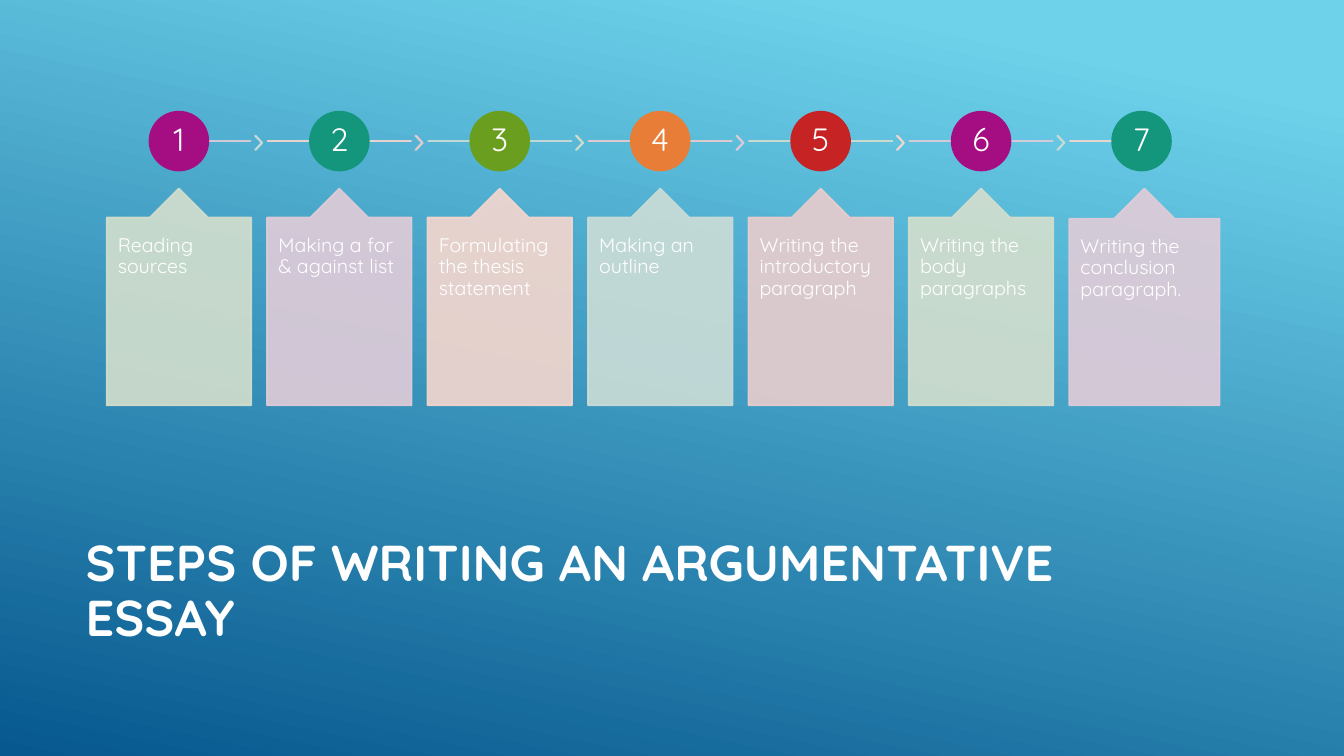
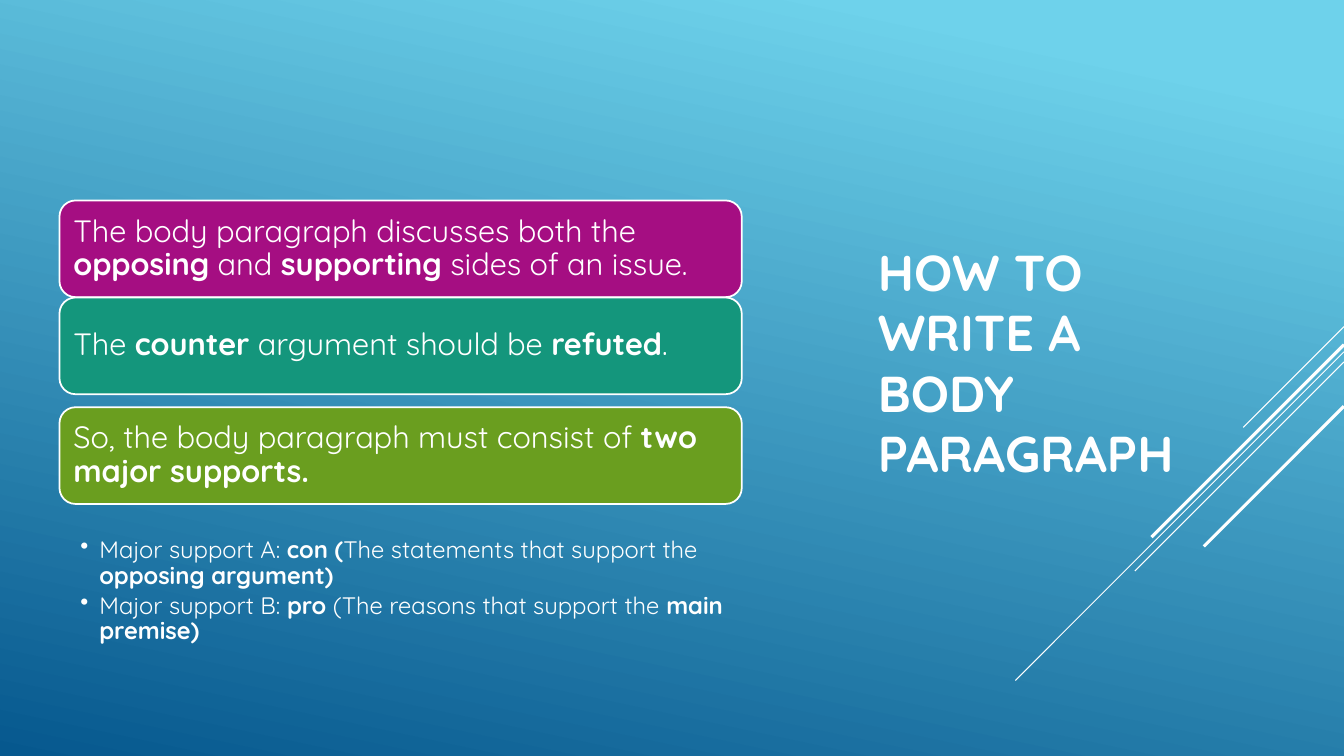
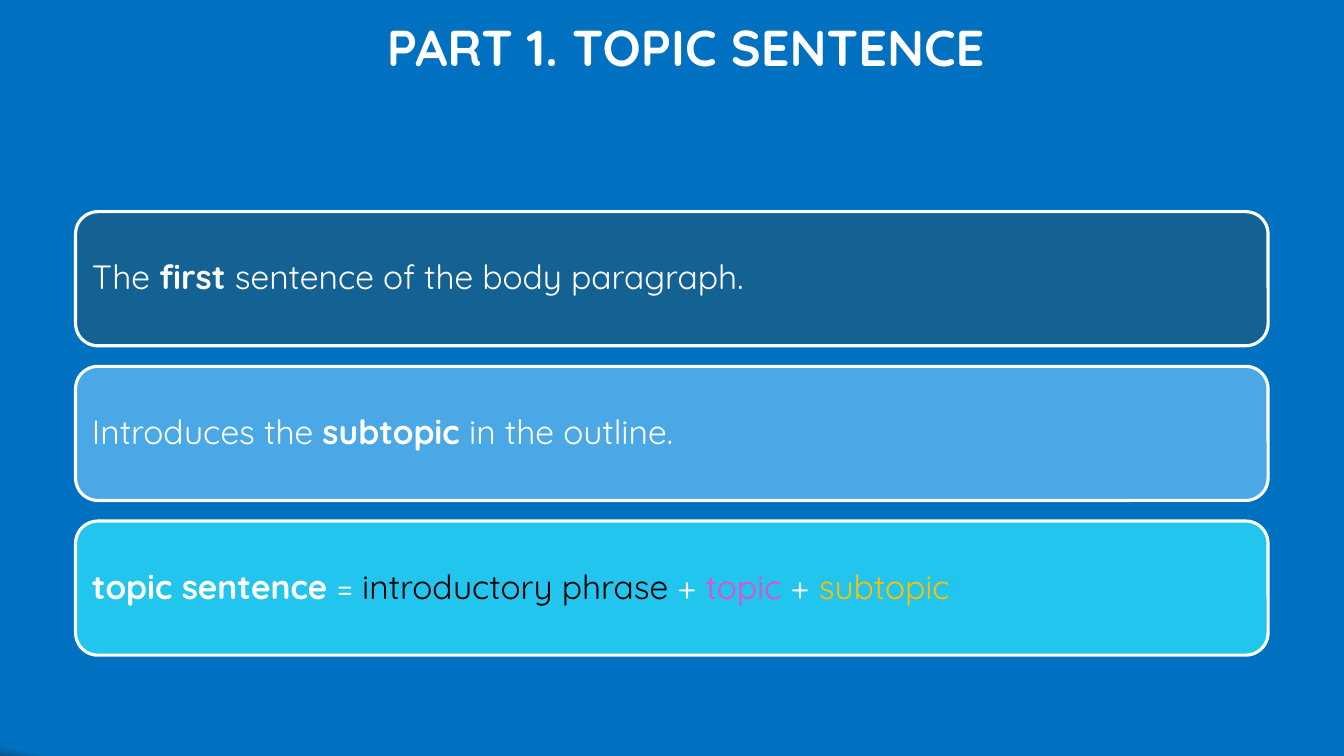
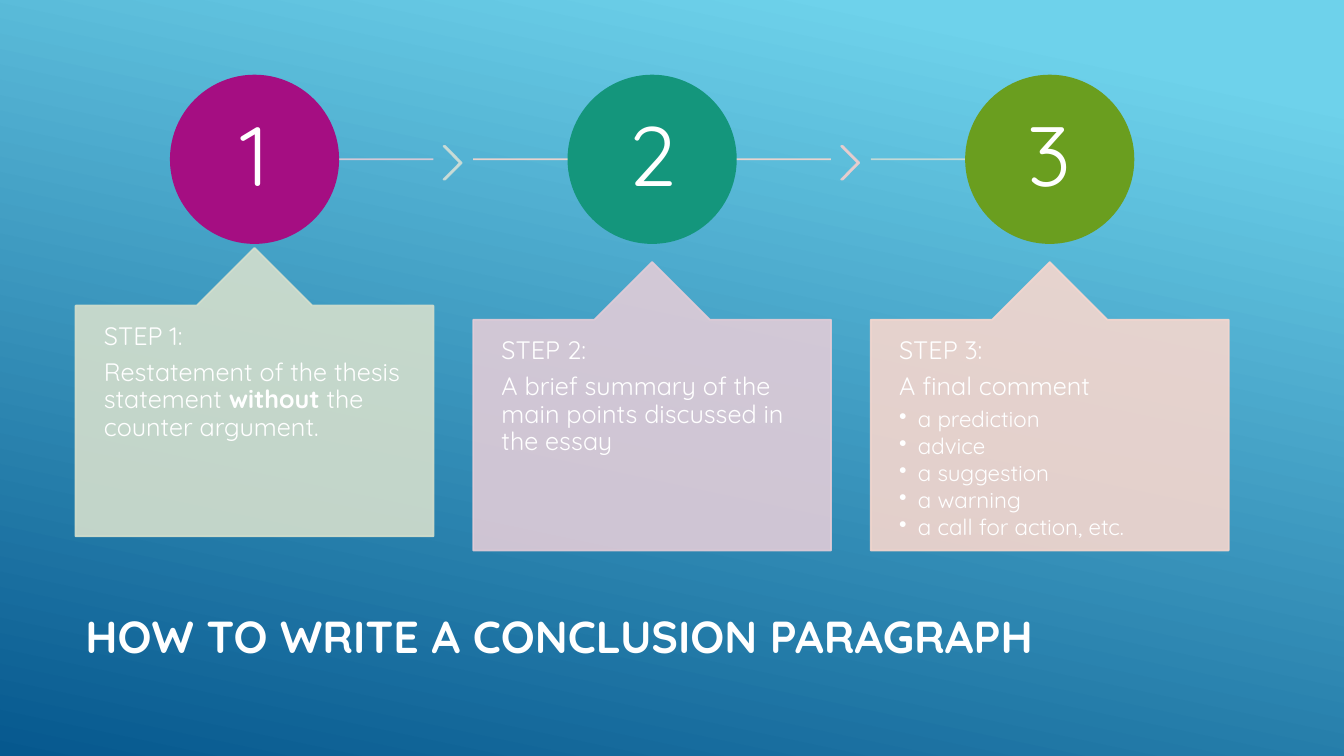
import lxml.etree
import pptx
import pptx.dml.color
import pptx.enum.shapes
import pptx.enum.text
import pptx.oxml.ns
import pptx.util

Pt = pptx.util.Pt
SHAPES = pptx.enum.shapes.MSO_SHAPE
ALIGN = pptx.enum.text.PP_ALIGN
ANCHOR = pptx.enum.text.MSO_ANCHOR
qn = pptx.oxml.ns.qn

FONT = "Quicksand"
WIDTH, HEIGHT = 960, 540
COLORS = {
    "white": "FFFFFF", "black": "000000",
    "sky": "6ED2EB", "deep": "06588E", "blue": "0070C0",
    "magenta": "A50E82", "teal": "14967C", "green": "6A9E1F",
    "orange": "E87D37", "red": "C62324",
    "pale green": "D4DFCD", "pale magenta": "E1CCD8", "pale orange": "F6D7CE",
    "pale teal": "CCDDD7", "pale red": "EACDCD",
    "navy": "146194", "azure": "4AA8E7", "cyan": "22C5ED",
    "pink": "EF48C9", "gold": "FFC000",
}
ACCENTS = ["magenta", "teal", "green", "orange", "red"]
TINTS = ["pale green", "pale magenta", "pale orange", "pale teal", "pale red"]
SKY_GRADIENT = [(0.1, "sky"), (1, "deep")]
BLUE_GRADIENT = [(0.99, "blue"), (1, "deep")]
BOLD = {"bold": True}


def rgb(color):
    return pptx.dml.color.RGBColor.from_string(COLORS[color])


def tint(index):
    return TINTS[index % len(TINTS)]


def fill_gradient(fill, stops):
    fill.gradient()
    fill.gradient_angle = 258
    for stop, (position, color) in zip(fill.gradient_stops, stops):
        stop.position = position
        stop.color.rgb = rgb(color)


def make_translucent(shape):
    for color in shape.element.spPr.iter(qn("a:srgbClr")):
        lxml.etree.SubElement(color, qn("a:alpha")).set("val", "90000")


def add_slide(deck, gradient):
    slide = deck.slides.add_slide(deck.slide_layouts[6])
    fill_gradient(slide.background.fill, gradient)
    return slide


def add_block(slide, kind, box, fill, line, line_width=1.25, adjustments=()):
    block = slide.shapes.add_shape(kind, *map(Pt, box))
    block.shadow.inherit = False
    block.fill.solid()
    block.fill.fore_color.rgb = rgb(fill)
    block.line.color.rgb = rgb(line)
    block.line.width = Pt(line_width)
    for index, value in enumerate(adjustments):
        block.adjustments[index] = value
    return block


def add_rule(slide, start, end, color, width):
    rule = slide.shapes.add_connector(
        pptx.enum.shapes.MSO_CONNECTOR.STRAIGHT, *map(Pt, start + end))
    rule.line.color.rgb = rgb(color)
    rule.line.width = Pt(width)
    lxml.etree.SubElement(rule.element.spPr, qn("a:effectLst"))
    return rule


def set_frame(shape, anchor, inset_x, inset_y):
    frame = shape.text_frame
    frame.word_wrap = True
    frame.vertical_anchor = anchor
    frame.margin_left = frame.margin_right = Pt(inset_x)
    frame.margin_top = frame.margin_bottom = Pt(inset_y)
    return frame


def add_run(paragraph, text, size, bold=False, color="white"):
    run = paragraph.add_run()
    run.text = text
    run.font.name = FONT
    run.font.size = Pt(size)
    run.font.bold = bold
    run.font.color.rgb = rgb(color)


def add_paragraph(frame, runs, size, after=0, spacing=0.9, align=ALIGN.LEFT, bullet=False):
    paragraph = frame.paragraphs[0]
    if paragraph.runs:
        paragraph = frame.add_paragraph()
    paragraph.alignment = align
    paragraph.line_spacing = spacing
    paragraph.space_after = Pt(after)
    if bullet:
        properties = paragraph._p.get_or_add_pPr()
        properties.set("marL", str(Pt(13.5)))
        properties.set("indent", str(Pt(-13.5)))
        lxml.etree.SubElement(properties, qn("a:buChar")).set("char", "•")
    for text, style in runs:
        add_run(paragraph, text, size, **style)
    return paragraph


def add_title(slide, box, lines, size=36, spacing=1.0):
    title = slide.shapes.add_textbox(*map(Pt, box))
    frame = set_frame(title, ANCHOR.MIDDLE, 7.2, 3.6)
    first, *others = lines
    paragraph = add_paragraph(frame, [(first, BOLD)], size, spacing=spacing)
    for line in others:
        paragraph.add_line_break()
        add_run(paragraph, line, size, **BOLD)


def add_step(slide, index, box, circle, chevron, number_size, insets, rail_span, center):
    left, top, width, height = box
    circle_top, diameter = circle
    rail_y = circle_top + diameter / 2

    rail = add_rule(slide, (rail_span[0], rail_y), (rail_span[1], rail_y), tint(index + 1), 1.25)
    make_translucent(rail)
    if chevron:
        arrow = add_block(slide, SHAPES.CHEVRON, chevron, tint(index + 3), tint(index + 3),
                          adjustments=[0.9])
        make_translucent(arrow)

    accent = ACCENTS[index % len(ACCENTS)]
    badge = add_block(slide, SHAPES.OVAL,
                      (center - diameter / 2, circle_top, diameter, diameter), accent, accent)
    number = set_frame(badge, ANCHOR.MIDDLE, diameter / 28, diameter / 28)
    add_paragraph(number, [(str(index + 1), {})], number_size, align=ALIGN.CENTER)

    card = add_block(slide, SHAPES.UP_ARROW_CALLOUT, box, tint(index), tint(index),
                     adjustments=[0.5, 0.2, 0.2, 1])
    make_translucent(card)
    return set_frame(card, ANCHOR.TOP, *insets)


def add_timeline(slide, boxes, circle, chevron_size, chevron_gap, chevron_top, number_size, insets):
    frames = []
    half = boxes[0][2] / 2
    last = len(boxes) - 1
    for index, box in enumerate(boxes):
        left, right = box[0], box[0] + 2 * half
        center = left + half
        rail_span = (center if index == 0 else left, center if index == last else right)
        chevron = None if index == last else (right + chevron_gap, chevron_top, *chevron_size)
        frames.append(add_step(slide, index, box, circle, chevron, number_size,
                               insets, rail_span, center))
    return frames


def add_panels(slide, box, tops, panels, size, inset, line_width):
    left, width, height = box
    for top, (color, runs) in zip(tops, panels):
        panel = add_block(slide, SHAPES.ROUNDED_RECTANGLE, (left, top, width, height),
                          color, "white", line_width)
        add_paragraph(set_frame(panel, ANCHOR.MIDDLE, inset, inset), runs, size)


def add_diagonals(slide):
    for top, reach, width in [(233.3, 72, 0.75), (251.3, 234.7, 0.75), (258.5, 149.4, 0.75),
                              (246.2, 137.5, 2.25), (290.2, 100.1, 2.25)]:
        add_rule(slide, (WIDTH, top), (WIDTH - reach, top + reach), "white", width)


def build_essay_steps(deck):
    slide = add_slide(deck, SKY_GRADIENT)
    add_title(slide, (54, 378, 730, 90.7), ["STEPS OF WRITING AN ARGUMENTATIVE ESSAY"], spacing=0.9)
    steps = ["Reading sources", "Making a for & against list",
             "Formulating the thesis statement", "Making an outline",
             "Writing the introductory paragraph", "Writing the body paragraphs",
             "Writing the conclusion paragraph."]
    boxes = [(76.2 + 114.6 * index, 134.7, 107.3 if index == len(steps) - 1 else 103.2, 154.8)
             for index in range(len(steps))]
    frames = add_timeline(slide, boxes, (79.8, 42), (5.2, 10), 2.8, 97, 23, (8, 13))
    for frame, step in zip(frames, steps):
        add_paragraph(frame, [(step, {})], 14)


def build_body_paragraph(deck):
    slide = add_slide(deck, BLUE_GRADIENT)
    backdrop = add_block(slide, SHAPES.RECTANGLE, (0, 0, WIDTH, HEIGHT), "sky", "sky")
    fill_gradient(backdrop.fill, SKY_GRADIENT)
    backdrop.line.fill.background()
    add_diagonals(slide)
    add_title(slide, (620, 152, 240, 213), ["HOW TO WRITE A", "BODY PARAGRAPH"])
    add_panels(slide, (42.5, 487.4, 69.1), (143.2, 212.5, 290.9), [
        ("magenta", [("The body paragraph discusses both the ", {}), ("opposing", BOLD),
                     (" and ", {}), ("supporting", BOLD), (" sides of an issue.", {})]),
        ("teal", [("The ", {}), ("counter", BOLD), (" argument should be ", {}),
                  ("refuted", BOLD), (".", {})]),
        ("green", [("So, the body paragraph must consist of ", {}),
                   ("two major supports.", BOLD)]),
    ], 22, 6.6, 1.25)
    supports = slide.shapes.add_textbox(*map(Pt, (42.5, 382, 487.4, 85)))
    frame = set_frame(supports, ANCHOR.TOP, 15, 2.2)
    frame.margin_right = Pt(12)
    for runs in [
        [("Major support A: ", {}), ("con (", BOLD), ("The statements that support the ", {}),
         ("opposing argument)", BOLD)],
        [("Major support B: ", {}), ("pro", BOLD), (" (The reasons that support the ", {}),
         ("main premise)", BOLD)],
    ]:
        add_paragraph(frame, runs, 17, after=3, bullet=True)


def build_topic_sentence(deck):
    slide = add_slide(deck, BLUE_GRADIENT)
    add_title(slide, (269.3, 0, 456.5, 65.5), ["PART 1. TOPIC SENTENCE"])
    add_panels(slide, (54, 851.8, 95.8), [151.2 + 110.5 * row for row in range(3)], [
        ("navy", [("The ", {}), ("first", BOLD), (" sentence of the body paragraph.", {})]),
        ("azure", [("Introduces the ", {}), ("subtopic ", BOLD), ("in the outline.", {})]),
        ("cyan", [("topic sentence ", BOLD), ("= ", {}),
                  ("introductory phrase ", {"color": "black"}), ("+", {}),
                  (" topic ", {"color": "pink"}), ("+ ", {}),
                  ("subtopic", {"color": "gold"})]),
    ], 24, 7.2, 2.25)


def build_conclusion(deck):
    slide = add_slide(deck, SKY_GRADIENT)
    add_title(slide, (54, 437.8, 727.2, 31.7), ["HOW TO WRITE A CONCLUSION PARAGRAPH"], 32)
    boxes = [(54 + 284 * index, top, 255.6, 206) for index, top in enumerate((177.1, 187.2, 187.2))]
    frames = add_timeline(slide, boxes, (54, 119.6), (13, 23.8), 7.2, 104.4, 60, (20.2, 13))
    steps = [
        [("Restatement of the thesis statement ", {}), ("without", BOLD),
         (" the counter argument.", {})],
        [("A brief summary of the main points discussed in the essay", {})],
        [("A final comment", {})],
    ]
    for number, (frame, runs) in enumerate(zip(frames, steps), 1):
        add_paragraph(frame, [(f"STEP {number}:", {})], 18, after=6.3)
        add_paragraph(frame, runs, 18, after=6.3 if number < 3 else 5)
    for comment in ["a prediction", "advice", "a suggestion", "a warning",
                    "a call for action, etc."]:
        add_paragraph(frames[-1], [(comment, {})], 16, after=2, bullet=True)


def main():
    deck = pptx.Presentation()
    deck.slide_width, deck.slide_height = Pt(WIDTH), Pt(HEIGHT)
    build_essay_steps(deck)
    build_body_paragraph(deck)
    build_topic_sentence(deck)
    build_conclusion(deck)
    deck.save("out.pptx")


if __name__ == "__main__":
    main()
